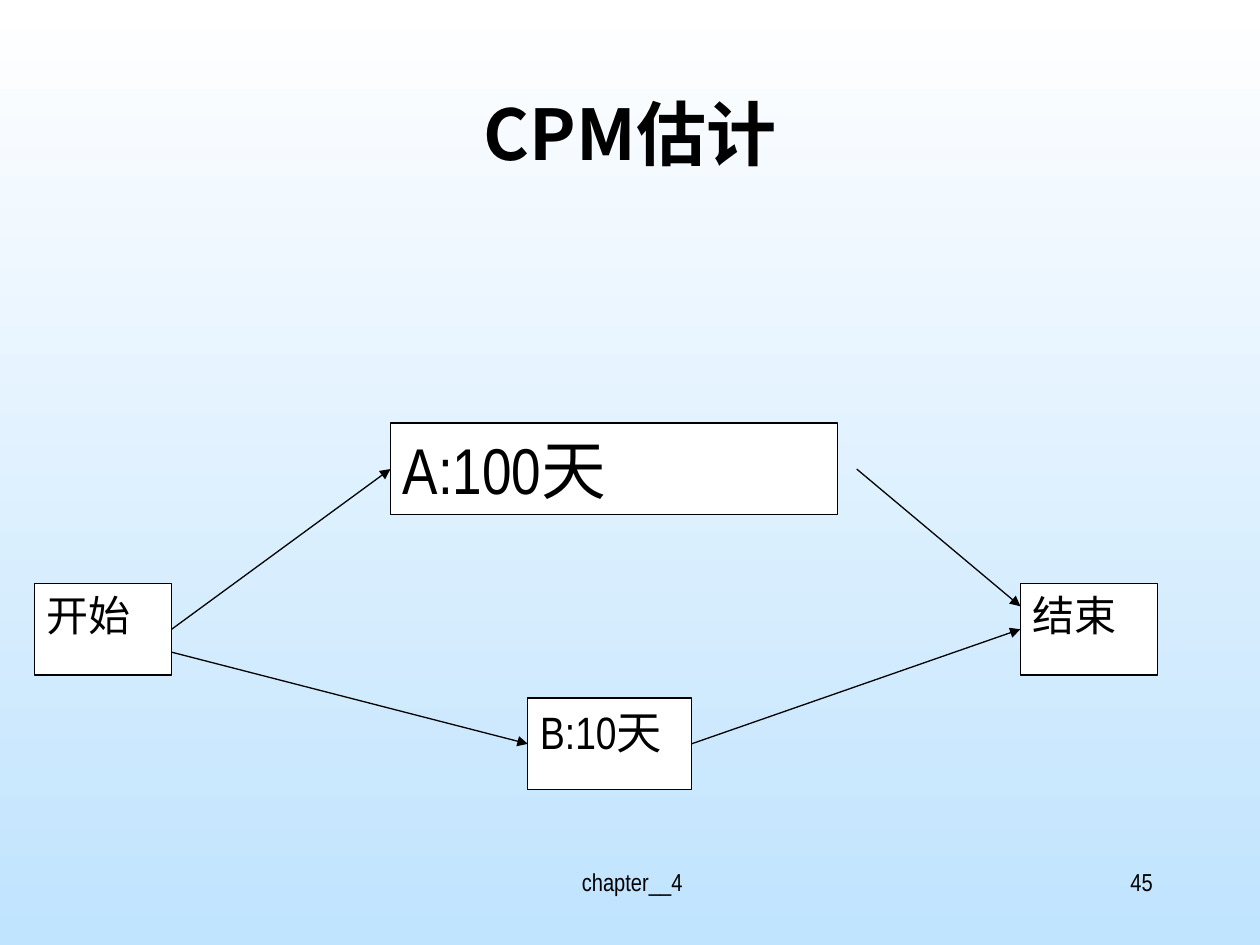
from pptx import Presentation
from pptx.dml.color import RGBColor
from pptx.enum.shapes import MSO_CONNECTOR, MSO_SHAPE
from pptx.enum.text import MSO_ANCHOR, PP_ALIGN
from pptx.oxml.ns import qn
from pptx.util import Cm, Pt
from lxml.etree import SubElement

COLORS = {"ink": "000000", "box": "FFFFFF", "top": "FFFFFF", "bottom": "C0E3FE"}
CJK, NARROW, SERIF = "Noto Sans CJK SC", "Arial Narrow", "Times New Roman"

# text, (left, top, width, height) in cm, alignment, font
LABELS = [
    ("CPM估计", (1.9, 1.7, 21.6, 3.18), PP_ALIGN.CENTER,
     {"size": Pt(40), "bold": True, "name": CJK}),
    ("chapter__4", (8.72, 17.35, 8.05, 1.27), PP_ALIGN.CENTER,
     {"size": Pt(14), "name": NARROW}),
    ("45", (18.21, 17.35, 5.28, 1.27), PP_ALIGN.RIGHT,
     {"size": Pt(14), "name": NARROW}),
]

# name: text, left, top, width in cm, font
NODE_H = 1.85
NODES = {
    "start": ("开始", 0.69, 11.76, 2.77, {"size": Pt(24), "name": SERIF}),
    "A": ("A:100天", 7.87, 8.53, 9.02, {"size": Pt(37), "name": NARROW}),
    "B": ("B:10天", 10.64, 14.07, 3.3, {"size": Pt(25.9), "name": NARROW}),
    "end": ("结束", 20.57, 11.76, 2.77, {"size": Pt(24), "name": SERIF}),
}

# from node, share of its height, gap after its right edge, to node, share of its height
ARROWS = [
    ("start", 0.75, 0, "B", 0.5),
    ("start", 0.5, 0, "A", 0.5),
    ("B", 0.5, 0, "end", 0.5),
    ("A", 0.5, 0.38, "end", 0.25),
]


def rgb(name):
    return RGBColor.from_string(COLORS[name])


def write(sp, text, align, font):
    tf = sp.text_frame
    tf.word_wrap = True
    tf.vertical_anchor = MSO_ANCHOR.TOP
    p = tf.paragraphs[0]
    p.alignment = align
    r = p.add_run()
    r.text = text
    r.font.color.rgb = rgb("ink")
    for key, value in font.items():
        setattr(r.font, key, value)
    SubElement(r.font._element, qn("a:ea"), typeface=CJK)


def add_node(s, text, left, top, width, font):
    sp = s.shapes.add_shape(MSO_SHAPE.RECTANGLE, Cm(left), Cm(top), Cm(width), Cm(NODE_H))
    sp.shadow.inherit = False
    sp.fill.solid()
    sp.fill.fore_color.rgb = rgb("box")
    sp.line.color.rgb = rgb("ink")
    sp.line.width = Pt(0.75)
    write(sp, text, PP_ALIGN.JUSTIFY, font)


def add_arrow(s, source, out_share, gap, target, in_share):
    _, x1, y1, width, _ = NODES[source]
    _, x2, y2, _, _ = NODES[target]
    line = s.shapes.add_connector(
        MSO_CONNECTOR.STRAIGHT,
        Cm(x1 + width + gap), Cm(y1 + NODE_H * out_share),
        Cm(x2), Cm(y2 + NODE_H * in_share))
    line.line.color.rgb = rgb("ink")
    line.line.width = Pt(0.75)
    SubElement(line.line._get_or_add_ln(), qn("a:tailEnd"), type="triangle")
    SubElement(line._element.spPr, qn("a:effectLst"))


def main():
    prs = Presentation()
    prs.slide_width, prs.slide_height = Cm(25.4), Cm(19.05)
    s = prs.slides.add_slide(prs.slide_layouts[6])

    fill = s.background.fill
    fill.gradient()
    fill.gradient_angle = 270
    for stop, name in zip(fill.gradient_stops, ("top", "bottom")):
        stop.color.rgb = rgb(name)

    for text, place, align, font in LABELS:
        write(s.shapes.add_textbox(*map(Cm, place)), text, align, font)
    for node in NODES.values():
        add_node(s, *node)
    for arrow in ARROWS:
        add_arrow(s, *arrow)
    prs.save("out.pptx")


if __name__ == "__main__":
    main()
